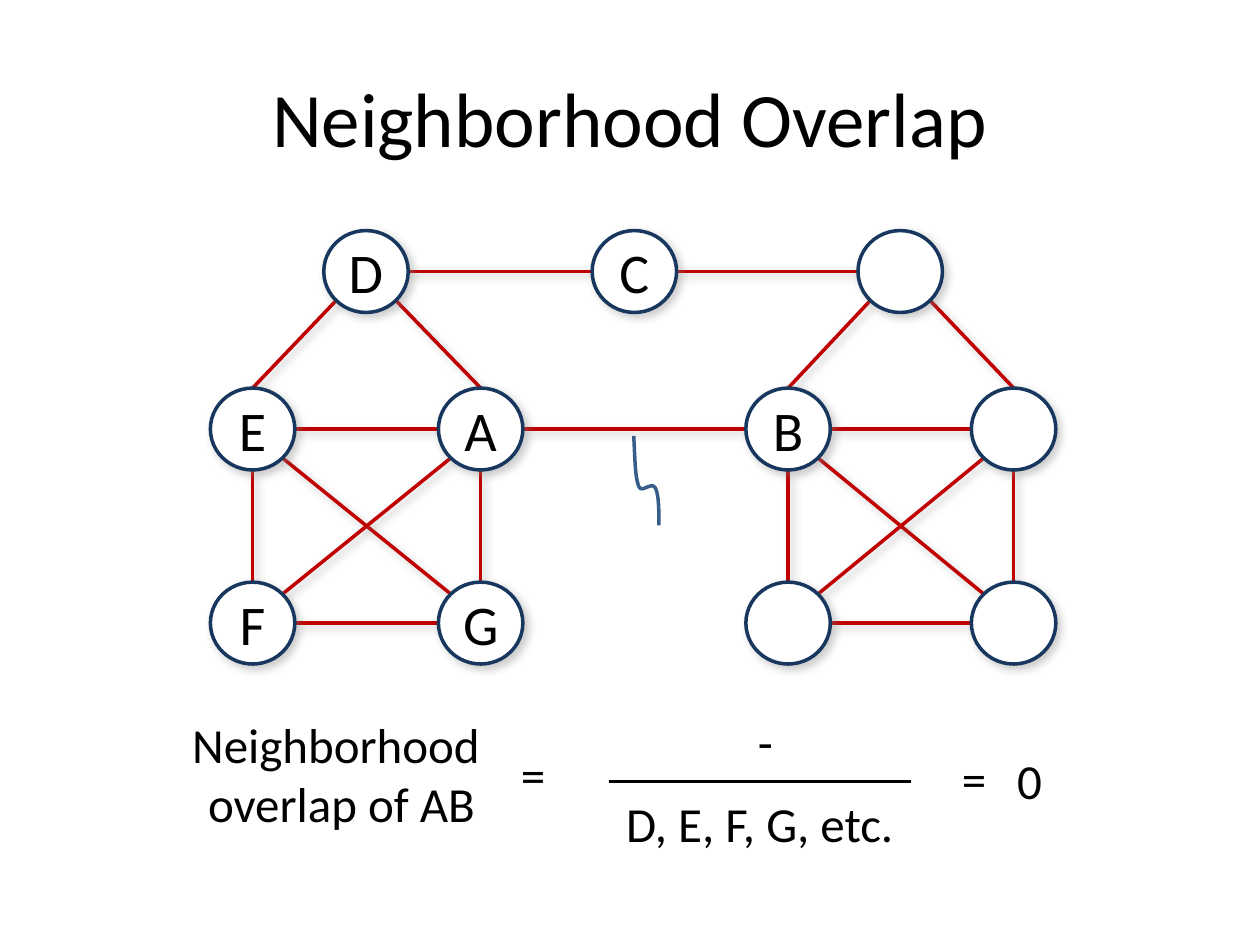
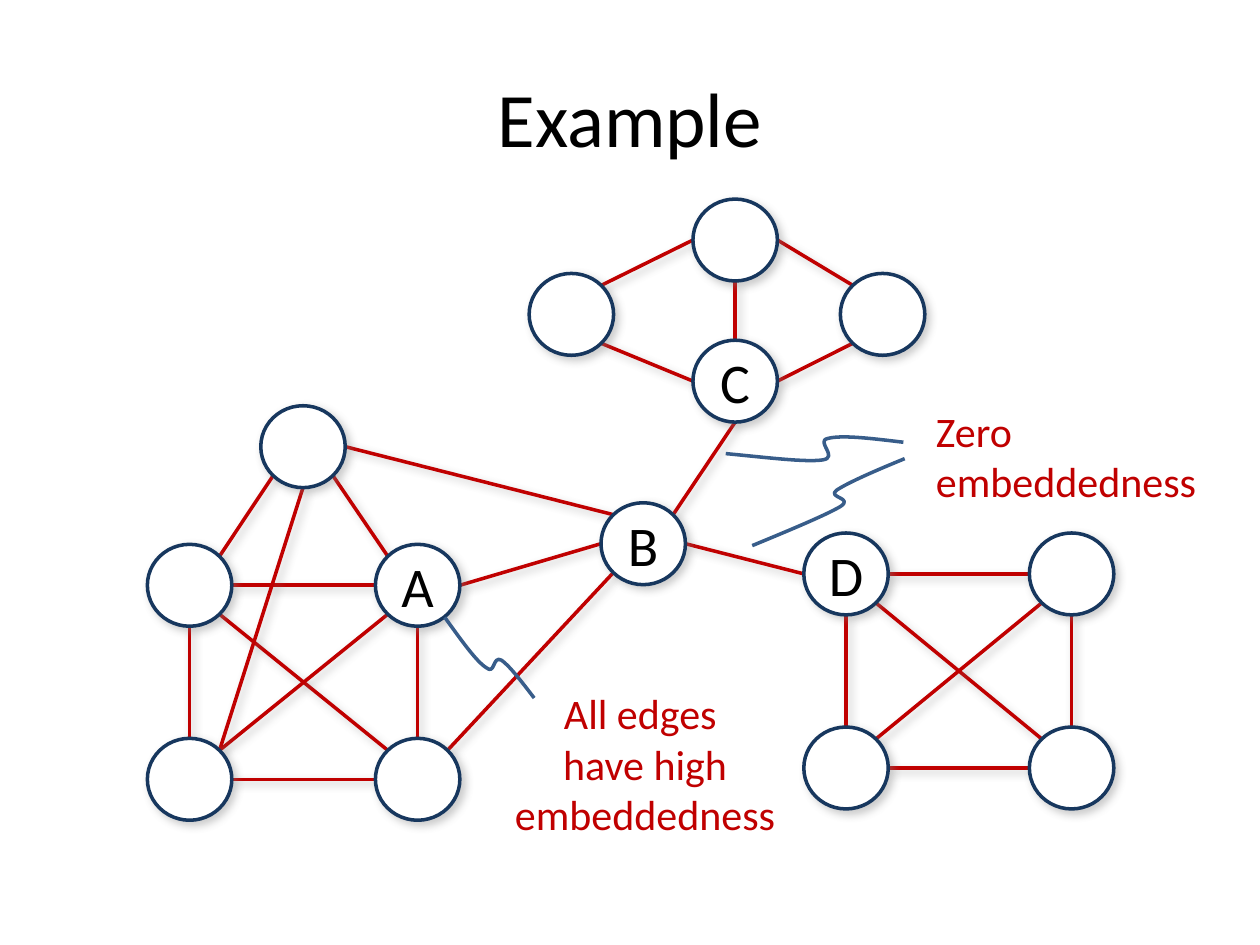
from dataclasses import dataclass
from enum import Enum

from lxml import etree
from pptx import Presentation
from pptx.dml.color import RGBColor
from pptx.enum.shapes import MSO_CONNECTOR as Connector
from pptx.enum.shapes import MSO_SHAPE as Preset
from pptx.enum.text import MSO_ANCHOR as Anchor
from pptx.enum.text import PP_ALIGN as Align
from pptx.oxml.ns import qn
from pptx.util import Inches, Pt

BLACK = RGBColor(0x00, 0x00, 0x00)
WHITE = RGBColor(0xFF, 0xFF, 0xFF)
RED = RGBColor(0xC0, 0x00, 0x00)
NAVY = RGBColor(0x17, 0x37, 0x5E)
BLUE = RGBColor(0x38, 0x5D, 0x8A)
SHADOW_GRAY = RGBColor(0x80, 0x80, 0x80)

FONT = "Calibri"
TITLE_LAYOUT = 5
NODE_WIDTH, NODE_HEIGHT = 0.67, 0.65
SQUARE_HEIGHT = 1.54
DIAGONAL = 0.354


class Site(Enum):
    """Point on a node's rim, as fractions of its width and height."""

    TOP = (0, -0.5)
    BOTTOM = (0, 0.5)
    LEFT = (-0.5, 0)
    RIGHT = (0.5, 0)
    TOP_LEFT = (-DIAGONAL, -DIAGONAL)
    TOP_RIGHT = (DIAGONAL, -DIAGONAL)
    BOTTOM_LEFT = (-DIAGONAL, DIAGONAL)
    BOTTOM_RIGHT = (DIAGONAL, DIAGONAL)


@dataclass(frozen=True)
class Node:
    left: float
    top: float
    label: str = ""

    def point(self, site: Site) -> tuple[float, float]:
        across, down = site.value
        return (self.left + NODE_WIDTH * (0.5 + across),
                self.top + NODE_HEIGHT * (0.5 + down))


@dataclass(frozen=True)
class Edge:
    start: Node
    start_site: Site
    end: Node
    end_site: Site


@dataclass(frozen=True)
class Square:
    """Four nodes, each joined to all the others."""

    top_left: Node
    top_right: Node
    bottom_left: Node
    bottom_right: Node

    def nodes(self) -> list[Node]:
        return [self.top_left, self.top_right, self.bottom_left, self.bottom_right]

    def edges(self) -> list[Edge]:
        return [
            Edge(self.top_left, Site.RIGHT, self.top_right, Site.LEFT),
            Edge(self.bottom_left, Site.RIGHT, self.bottom_right, Site.LEFT),
            Edge(self.top_left, Site.BOTTOM, self.bottom_left, Site.TOP),
            Edge(self.top_right, Site.BOTTOM, self.bottom_right, Site.TOP),
            Edge(self.top_left, Site.BOTTOM_RIGHT, self.bottom_right, Site.TOP_LEFT),
            Edge(self.top_right, Site.BOTTOM_LEFT, self.bottom_left, Site.TOP_RIGHT),
        ]


@dataclass(frozen=True)
class Label:
    text: str
    left: float
    top: float
    width: float
    height: float
    size: int = 28
    color: RGBColor = BLACK
    align: Align = Align.CENTER


def make_square(left: float, right: float, top: float, labels: tuple[str, ...]) -> Square:
    corners = [(x, y) for y in (top, top + SQUARE_HEIGHT) for x in (left, right)]
    return Square(*(Node(x, y, label) for (x, y), label in zip(corners, labels)))


def roof_edges(roof: Node, square: Square) -> list[Edge]:
    return [Edge(roof, Site.BOTTOM_LEFT, square.top_left, Site.TOP),
            Edge(roof, Site.BOTTOM_RIGHT, square.top_right, Site.TOP)]


def format_text(text_frame, size: int, color: RGBColor, align: Align) -> None:
    for paragraph in text_frame.paragraphs:
        paragraph.alignment = align
        for run in paragraph.runs:
            run.font.name = FONT
            run.font.size = Pt(size)
            run.font.color.rgb = color


def add_effects(shape, shadow: bool) -> None:
    """Give the shape a soft shadow, or an empty effect list."""
    effects = etree.SubElement(shape._element.spPr, qn("a:effectLst"))
    if shadow:
        outer = etree.SubElement(effects, qn("a:outerShdw"), blurRad=str(Pt(5)),
                                 dist=str(Pt(3)), dir="2700000", algn="tl", rotWithShape="0")
        color = etree.SubElement(outer, qn("a:srgbClr"), val=str(SHADOW_GRAY))
        etree.SubElement(color, qn("a:alpha"), val="40000")


def add_title_slide(presentation, title: str):
    slide = presentation.slides.add_slide(presentation.slide_layouts[TITLE_LAYOUT])
    shape = slide.shapes.title
    shape.left, shape.top = Inches(0.5), Inches(0.3)
    shape.width, shape.height = Inches(9), Inches(1.25)
    shape.text_frame.text = title
    shape.text_frame.vertical_anchor = Anchor.MIDDLE
    format_text(shape.text_frame, 44, BLACK, Align.CENTER)
    return slide


def add_line(slide, start: tuple[float, float], end: tuple[float, float],
             color: RGBColor, width: float, shadow: bool) -> None:
    ends = [Inches(value) for value in (*start, *end)]
    connector = slide.shapes.add_connector(Connector.STRAIGHT, *ends)
    connector.line.color.rgb = color
    connector.line.width = Pt(width)
    add_effects(connector, shadow)


def add_node(slide, node: Node) -> None:
    shape = slide.shapes.add_shape(Preset.OVAL, Inches(node.left), Inches(node.top),
                                   Inches(NODE_WIDTH), Inches(NODE_HEIGHT))
    shape.fill.solid()
    shape.fill.fore_color.rgb = WHITE
    shape.line.color.rgb = NAVY
    shape.line.width = Pt(2)
    add_effects(shape, shadow=True)
    if node.label:
        shape.text_frame.text = node.label
        shape.text_frame.vertical_anchor = Anchor.MIDDLE
        format_text(shape.text_frame, 32, BLACK, Align.CENTER)


def add_network(slide, nodes: list[Node], edges: list[Edge]) -> None:
    for edge in edges:
        add_line(slide, edge.start.point(edge.start_site),
                 edge.end.point(edge.end_site), RED, 2, shadow=True)
    for node in nodes:
        add_node(slide, node)


def add_label(slide, label: Label) -> None:
    box = slide.shapes.add_textbox(Inches(label.left), Inches(label.top),
                                   Inches(label.width), Inches(label.height))
    box.text_frame.word_wrap = True
    box.text_frame.paragraphs[0].text = label.text
    format_text(box.text_frame, label.size, label.color, label.align)


def add_squiggle(slide, points: list[tuple[float, float]]) -> None:
    """Draw a start point and then Bézier curves of three points each."""
    start, *rest = [(Inches(x), Inches(y)) for x, y in points]
    builder = slide.shapes.build_freeform(*start)
    builder.add_line_segments(rest, close=False)
    shape = builder.convert_to_shape()
    shape.fill.background()
    shape.line.color.rgb = BLUE
    shape.line.width = Pt(2)
    shape.shadow.inherit = False
    segments = list(shape._element.spPr.iter(qn("a:lnTo")))
    for first in range(0, len(segments), 3):
        curve = etree.SubElement(segments[first].getparent(), qn("a:cubicBezTo"))
        for segment in segments[first:first + 3]:
            curve.append(segment[0])
            segment.getparent().remove(segment)


def build_overlap_slide(presentation) -> None:
    slide = add_title_slide(presentation, "Neighborhood Overlap")
    left_square = make_square(1.67, 3.48, 3.08, ("E", "A", "F", "G"))
    right_square = make_square(5.92, 7.71, 3.08, ("B", "", "", ""))
    node_d, node_c, right_roof = Node(2.57, 1.83, "D"), Node(4.7, 1.83, "C"), Node(6.81, 1.83)
    edges = [
        *left_square.edges(), *right_square.edges(),
        *roof_edges(node_d, left_square), *roof_edges(right_roof, right_square),
        Edge(node_d, Site.RIGHT, node_c, Site.LEFT),
        Edge(node_c, Site.RIGHT, right_roof, Site.LEFT),
        Edge(left_square.top_right, Site.RIGHT, right_square.top_left, Site.LEFT),
    ]
    nodes = [*left_square.nodes(), *right_square.nodes(), node_d, node_c, right_roof]
    add_network(slide, nodes, edges)
    add_squiggle(slide, [(5.23, 4.17), (5.23, 4.05), (5.23, 3.92), (5.2, 3.87),
                         (5.17, 3.82), (5.09, 3.92), (5.07, 3.86),
                         (5.04, 3.79), (5.04, 3.63), (5.03, 3.46)])

    add_line(slide, (4.83, 6.2), (7.23, 6.2), BLACK, 1.5, shadow=False)
    for label in (
        Label("Neighborhood \voverlap of AB", 1.42, 5.62, 2.58, 1.03),
        Label("=", 4, 5.86, 0.46, 0.57),
        Label("-", 5.23, 5.6, 1.69, 0.57),
        Label("D, E, F, G, etc.", 4.83, 6.25, 2.4, 0.57),
        Label("=", 7.5, 5.89, 0.46, 0.57),
        Label("0", 7.56, 5.91, 1.22, 0.57),
    ):
        add_label(slide, label)


def build_example_slide(presentation) -> None:
    slide = add_title_slide(presentation, "Example")
    left_square = make_square(1.17, 2.98, 4.32, ("", "A", "", ""))
    right_square = make_square(6.38, 8.17, 4.23, ("D", "", "", ""))
    left_roof, node_b = Node(2.07, 3.22), Node(4.77, 3.99, "B")
    kite_top, node_c = Node(5.5, 1.58), Node(5.5, 2.7, "C")
    kite_left, kite_right = Node(4.2, 2.17), Node(6.67, 2.17)
    edges = [
        *left_square.edges(), *right_square.edges(),
        Edge(left_roof, Site.BOTTOM_LEFT, left_square.top_left, Site.TOP_RIGHT),
        Edge(left_roof, Site.BOTTOM_RIGHT, left_square.top_right, Site.TOP_LEFT),
        Edge(left_roof, Site.BOTTOM, left_square.bottom_left, Site.TOP_RIGHT),
        Edge(left_roof, Site.RIGHT, node_b, Site.TOP_LEFT),
        Edge(left_square.top_right, Site.RIGHT, node_b, Site.LEFT),
        Edge(left_square.bottom_right, Site.TOP_RIGHT, node_b, Site.BOTTOM_LEFT),
        Edge(node_b, Site.RIGHT, right_square.top_left, Site.LEFT),
        Edge(node_b, Site.TOP_RIGHT, node_c, Site.BOTTOM),
        Edge(kite_top, Site.BOTTOM, node_c, Site.TOP),
        Edge(kite_top, Site.LEFT, kite_left, Site.TOP_RIGHT),
        Edge(kite_top, Site.RIGHT, kite_right, Site.TOP_LEFT),
        Edge(node_c, Site.LEFT, kite_left, Site.BOTTOM_RIGHT),
        Edge(node_c, Site.RIGHT, kite_right, Site.BOTTOM_LEFT),
    ]
    nodes = [*left_square.nodes(), *right_square.nodes(), left_roof, node_b,
             kite_top, node_c, kite_left, kite_right]
    add_network(slide, nodes, edges)

    for points in (
        [(4.24, 5.54), (4.14, 5.41), (4.04, 5.28), (3.98, 5.24), (3.91, 5.2),
         (3.93, 5.36), (3.86, 5.3), (3.78, 5.25), (3.66, 5.08), (3.53, 4.9)],
        [(7.17, 3.51), (6.92, 3.48), (6.68, 3.45), (6.57, 3.48), (6.47, 3.5),
         (6.66, 3.63), (6.53, 3.65), (6.39, 3.67), (6.08, 3.63), (5.76, 3.6)],
        [(7.18, 3.64), (6.96, 3.73), (6.73, 3.83), (6.64, 3.89), (6.56, 3.95),
         (6.78, 3.95), (6.67, 4.02), (6.55, 4.09), (6.26, 4.21), (5.97, 4.33)],
    ):
        add_squiggle(slide, points)
    add_label(slide, Label("All edges \vhave high embeddedness", 3.88, 5.41, 2.48, 1.3, 24, RED))
    add_label(slide, Label("Zero embeddedness", 7.33, 3.17, 2.64, 0.9, 24, RED, Align.LEFT))


def main() -> None:
    presentation = Presentation()
    presentation.slide_width, presentation.slide_height = Inches(10), Inches(7.5)
    build_overlap_slide(presentation)
    build_example_slide(presentation)
    presentation.save("out.pptx")


if __name__ == "__main__":
    main()
